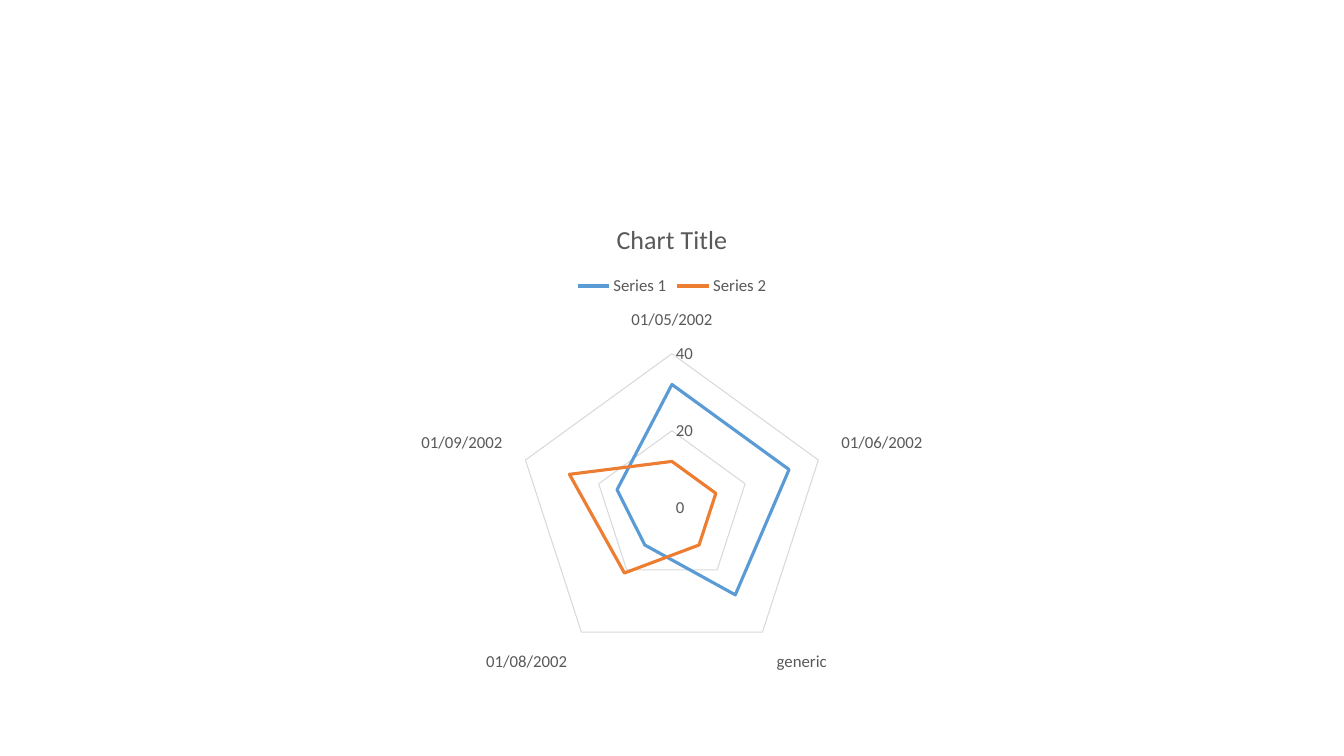
from pptx import Presentation
from pptx.chart.data import CategoryChartData
from pptx.dml.color import RGBColor
from pptx.enum.chart import XL_CHART_TYPE, XL_LEGEND_POSITION, XL_TICK_MARK
from pptx.util import Pt


def color(code):
    return RGBColor.from_string(code)


class SlideBuilder:
    """Hold the chart style and the current slide."""

    font_name = "Calibri"
    text_color = "595959"
    grid_color = "D9D9D9"

    def __init__(self, deck):
        self.page = deck.slides.add_slide(deck.slide_layouts[6])

    def style_font(self, font, size):
        font.name = self.font_name
        font.size = Pt(size)
        font.bold = False
        font.color.rgb = color(self.text_color)

    def style_line(self, line, code, width):
        line.color.rgb = color(code)
        line.width = Pt(width)

    def style_axis(self, axis):
        axis.major_tick_mark = XL_TICK_MARK.NONE
        axis.minor_tick_mark = XL_TICK_MARK.NONE
        axis.has_major_gridlines = True
        self.style_line(axis.major_gridlines.format.line, self.grid_color, 0.75)
        self.style_font(axis.tick_labels.font, 12)

    def add_radar(self, left, top, width, height, title, categories, series_rows):
        data = CategoryChartData()
        data.categories = categories
        for name, values, _ in series_rows:
            data.add_series(name, values)
        frame = self.page.shapes.add_chart(
            XL_CHART_TYPE.RADAR, Pt(left), Pt(top), Pt(width), Pt(height), data
        )
        chart = frame.chart
        self.style_font(chart.font, 12)

        chart.has_title = True
        title_frame = chart.chart_title.text_frame
        title_frame.text = title
        self.style_font(title_frame.paragraphs[0].font, 18.6)
        chart.chart_title.include_in_layout = False

        chart.has_legend = True
        chart.legend.position = XL_LEGEND_POSITION.TOP
        chart.legend.include_in_layout = False
        self.style_font(chart.legend.font, 12)

        for axis in (chart.category_axis, chart.value_axis):
            self.style_axis(axis)
        self.style_line(chart.category_axis.format.line, self.grid_color, 0.75)
        value_axis = chart.value_axis
        value_axis.format.line.fill.background()
        value_axis.minimum_scale = 0
        value_axis.maximum_scale = 40
        value_axis.major_unit = 20

        plot = chart.plots[0]
        plot.vary_by_categories = False
        for series, (_, _, code) in zip(plot.series, series_rows):
            self.style_line(series.format.line, code, 2.25)


def main():
    deck = Presentation()
    deck.slide_width, deck.slide_height = Pt(960), Pt(540)
    builder = SlideBuilder(deck)
    builder.add_radar(
        66, 144, 828, 342.75,
        "Chart Title",
        ["01/05/2002", "01/06/2002", "generic", "01/08/2002", "01/09/2002"],
        [
            ("Series 1", (32, 32, 28, 12, 15), "5B9BD5"),
            ("Series 2", (12, 12, 12, 21, 28), "ED7D31"),
        ],
    )
    deck.save("out.pptx")


if __name__ == "__main__":
    main()
